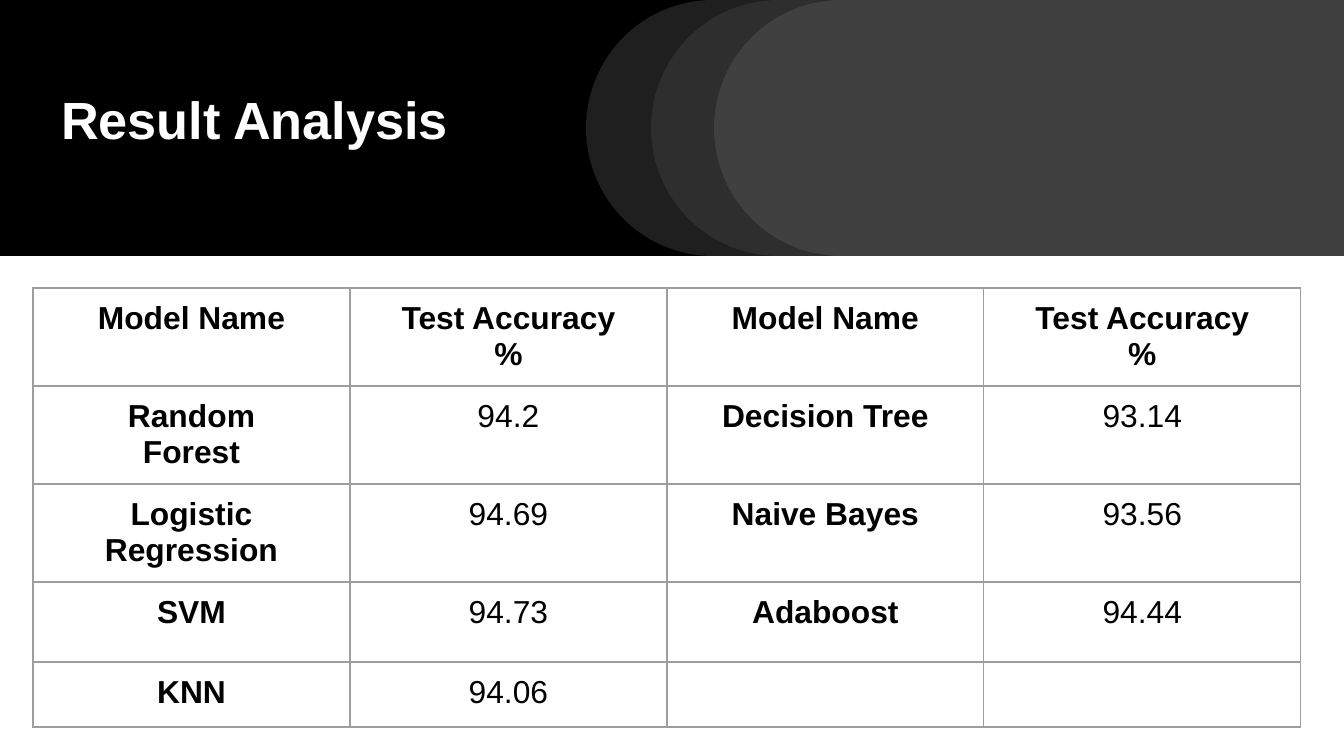
import dataclasses

import lxml.etree
import pptx
import pptx.dml.color
import pptx.enum.shapes
import pptx.enum.text
import pptx.oxml.ns
import pptx.util

SHAPES = pptx.enum.shapes.MSO_SHAPE
ANCHOR = pptx.enum.text.MSO_ANCHOR
ALIGN = pptx.enum.text.PP_ALIGN
SCALE = 914400 / 134.4


def px(length):
    return pptx.util.Emu(round(length * SCALE))


def assign(target, values):
    for name, value in values.items():
        setattr(target, name, value)


def add_xml(parent, tag, **attributes):
    return lxml.etree.SubElement(parent, pptx.oxml.ns.qn(tag), attributes)


@dataclasses.dataclass
class Theme:
    font: str = "Arial"
    black: str = "000000"
    white: str = "FFFFFF"
    grid: str = "9E9E9E"
    title_size: int = 28
    table_size: int = 17
    grid_width: float = 0.75
    inset: int = 13


class SlideBuilder:
    def __init__(self, slide, theme):
        self.slide = slide
        self.theme = theme

    def format_font(self, font, size, color, bold):
        assign(font, {"name": self.theme.font, "size": pptx.util.Pt(size), "bold": bold})
        font.color.rgb = pptx.dml.color.RGBColor.from_string(color)

    def shape(self, kind, box, color, opacity=100, rotation=0):
        shape = self.slide.shapes.add_shape(kind, *map(px, box))
        shape.rotation = rotation
        shape.shadow.inherit = False
        shape.line.fill.background()
        shape.fill.solid()
        shape.fill.fore_color.rgb = pptx.dml.color.RGBColor.from_string(color)
        if opacity < 100:
            fill_color = shape.element.spPr.find(".//" + pptx.oxml.ns.qn("a:srgbClr"))
            add_xml(fill_color, "a:alpha", val=str(opacity * 1000))

    def title(self, text, box, bottom_inset):
        title = self.slide.shapes.title
        assign(title, dict(zip(("left", "top", "width", "height"), map(px, box))))
        inset = px(self.theme.inset)
        assign(title.text_frame, {
            "text": text,
            "word_wrap": True,
            "auto_size": pptx.enum.text.MSO_AUTO_SIZE.NONE,
            "vertical_anchor": ANCHOR.BOTTOM,
            "margin_left": inset,
            "margin_right": inset,
            "margin_top": inset,
            "margin_bottom": px(bottom_inset),
        })
        paragraph = title.text_frame.paragraphs[0]
        paragraph.alignment = ALIGN.LEFT
        self.format_font(paragraph.runs[0].font, self.theme.title_size, self.theme.white, True)
        self.slide.shapes.element.append(title.element)

    def borders(self, cell):
        properties = cell._tc.get_or_add_tcPr()
        width = str(pptx.util.Pt(self.theme.grid_width))
        for side in ("a:lnL", "a:lnR", "a:lnT", "a:lnB"):
            line = add_xml(properties, side, w=width)
            add_xml(add_xml(line, "a:solidFill"), "a:srgbClr", val=self.theme.grid)

    def cell(self, cell, text, bold):
        inset = px(self.theme.inset)
        sides = ("left", "right", "top", "bottom")
        assign(cell, {f"margin_{side}": inset for side in sides})
        cell.vertical_anchor = ANCHOR.TOP
        self.borders(cell)
        cell.fill.background()
        for index, line in enumerate(text.split("\n")):
            frame = cell.text_frame
            paragraph = frame.add_paragraph() if index else frame.paragraphs[0]
            paragraph.alignment = ALIGN.CENTER
            run = paragraph.add_run()
            run.text = line
            self.format_font(run.font, self.theme.table_size, self.theme.black, bold)

    def table(self, rows, left, top, column_width, row_heights):
        columns = len(rows[0])
        size = (column_width * columns, sum(row_heights))
        frame = self.slide.shapes.add_table(len(rows), columns, *map(px, (left, top, *size)))
        table = frame.table
        assign(table, {"first_row": False, "horz_banding": False})
        for column in table.columns:
            column.width = px(column_width)
        for row_index, (values, height) in enumerate(zip(rows, row_heights)):
            table.rows[row_index].height = px(height)
            for column_index, text in enumerate(values):
                bold = row_index == 0 or column_index % 2 == 0
                self.cell(table.cell(row_index, column_index), text, bold)


presentation = pptx.Presentation()
assign(presentation, {"slide_width": px(1344), "slide_height": px(756)})
theme = Theme()
builder = SlideBuilder(presentation.slides.add_slide(presentation.slide_layouts[5]), theme)

BAND_HEIGHT = 256
builder.shape(SHAPES.RECTANGLE, (0, 0, 1344, BAND_HEIGHT), theme.black)
builder.shape(SHAPES.RECTANGLE, (963, 0, 381, BAND_HEIGHT), theme.white, 25)
for left, opacity in ((586, 12), (651, 18), (714, 25)):
    for color, strength in ((theme.black, 100), (theme.white, opacity)):
        box = (left, 0, 254, BAND_HEIGHT)
        builder.shape(SHAPES.FLOWCHART_DELAY, box, color, strength, 180)

builder.title("Result Analysis", (48, 22, 813, 201), 73)

HEADINGS = ("Model Name", "Test Accuracy\n%")
RESULTS = [
    HEADINGS * 2,
    ("Random\nForest", "94.2", "Decision Tree", "93.14"),
    ("Logistic Regression", "94.69", "Naive Bayes", "93.56"),
    ("SVM", "94.73", "Adaboost", "94.44"),
    ("KNN", "94.06", "", ""),
]
builder.table(RESULTS, 33, 288, 317, (98, 98, 98, 80, 65))

presentation.save("out.pptx")
